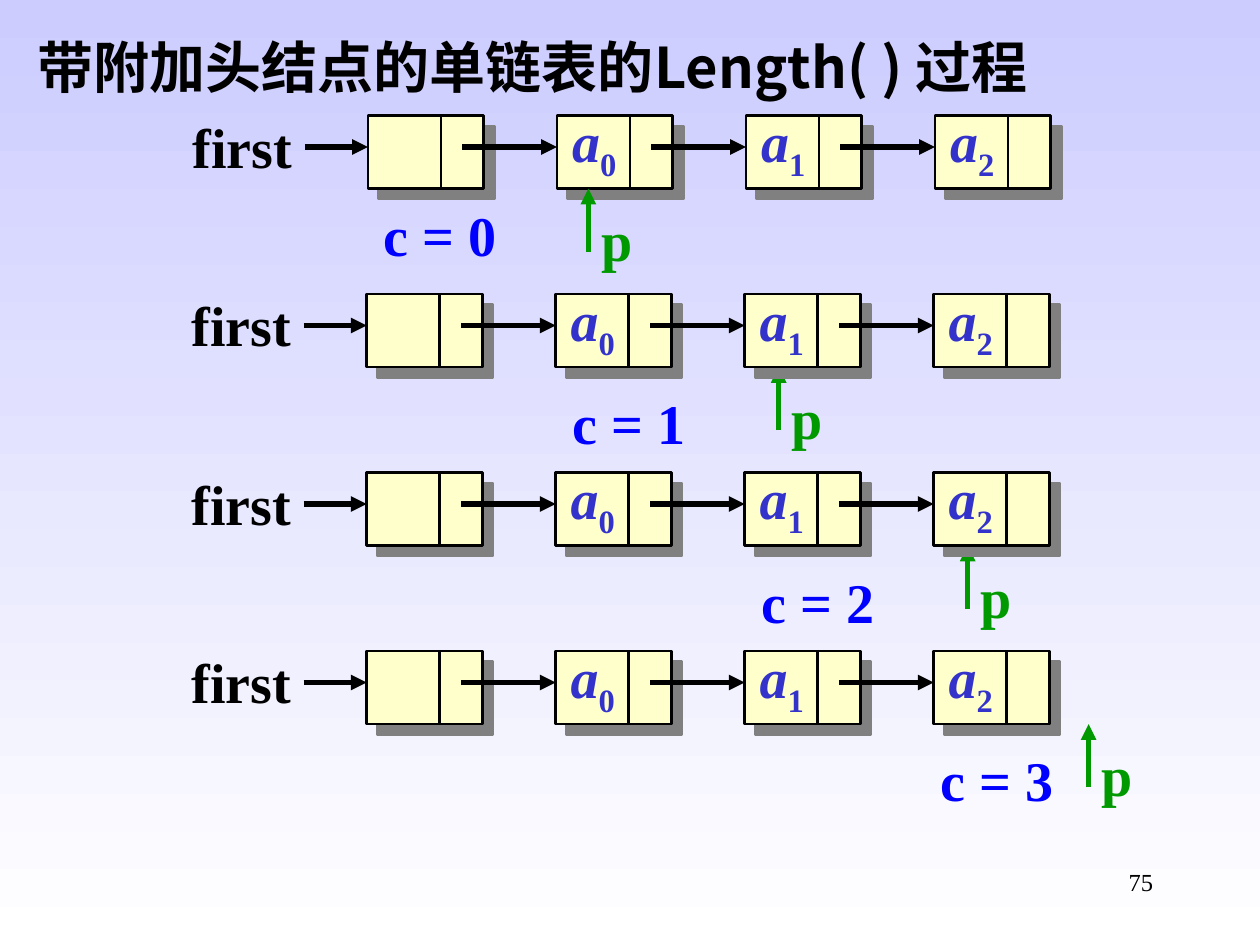
from dataclasses import dataclass

from lxml import etree
from pptx import Presentation
from pptx import util as u
from pptx.dml.color import RGBColor
from pptx.enum import shapes, text
from pptx.oxml import parse_xml
from pptx.oxml.ns import nsdecls, qn

COLORS = {
    "sky": "CCCCFF", "white": "FFFFFF", "node": "FFFFCC", "black": "000000",
    "shadow": "808080", "pointer": "009900", "item": "3333CC", "count": "0000FF",
}
LATIN, CJK = "Times New Roman", "Noto Sans CJK SC"
FIRST_TOP, ROW_PITCH = 11 / 12, 17 / 12
NODE_PITCH, NODE_WIDTH, NODE_HEIGHT = 1.5, 0.92, 0.58
NODE_COUNT = 4
DIVIDER, LINK_START, LINK_DROP = 0.58, 0.75, 0.25
COUNT_WIDTH = 1.19


@dataclass
class Step:
    """One state of the traversal: the list, the pointer p and the counter c."""
    count: int
    left: float
    pointer_x: float
    count_left: float
    count_drop: float

    @property
    def top(self) -> float:
        return FIRST_TOP + self.count * ROW_PITCH


STEPS = [
    Step(0, 2.92, 4.67, 2.9, 0.62),
    Step(1, 2.91, 6.18, 4.4, 0.7),
    Step(2, 2.91, 7.68, 5.9, 0.7),
    Step(3, 2.91, 8.64, 7.32, 0.7),
]


def color(name: str) -> RGBColor:
    return RGBColor.from_string(COLORS[name])


def add_line(parent, start: tuple, end: tuple, name: str = "black",
             width: float = 3, arrow: bool = True) -> None:
    line = parent.shapes.add_connector(
        shapes.MSO_CONNECTOR.STRAIGHT, *map(u.Inches, (*start, *end)))
    line.line.color.rgb = color(name)
    line.line.width = u.Pt(width)
    if arrow:
        etree.SubElement(line.line._get_or_add_ln(), qn("a:tailEnd"), type="triangle")
    etree.SubElement(line._element.spPr, qn("a:effectLst"))


def add_text(parent, words: str, left: float, top: float, width: float,
             height: float, name: str = "black", size: float = 32, bold: bool = True,
             align=text.PP_ALIGN.CENTER, font: str = LATIN, wrap: bool = False):
    """Add a one-line text box and return its paragraph."""
    box = parent.shapes.add_textbox(*map(u.Inches, (left, top, width, height)))
    frame = box.text_frame
    frame.word_wrap = wrap
    if not wrap:
        frame.auto_size = text.MSO_AUTO_SIZE.SHAPE_TO_FIT_TEXT
        frame.vertical_anchor = text.MSO_ANCHOR.MIDDLE
    para = frame.paragraphs[0]
    para.alignment = align
    para.add_run().text = words
    para.font.name = font
    para.font.size = u.Pt(size)
    para.font.bold = bold
    para.font.color.rgb = color(name)
    return para


def add_item(parent, index: int, left: float, top: float) -> None:
    """Add the italic letter a with an upright subscript."""
    para = add_text(parent, "a", left, top, 0.55, 0.71, "item")
    para.runs[0].font.italic = True
    span = para.add_run()
    span.text = str(index)
    span._r.get_or_add_rPr().set("baseline", "-25000")


def add_node(parent, left: float, top: float) -> None:
    node = parent.shapes.add_shape(
        shapes.MSO_SHAPE.RECTANGLE,
        *map(u.Inches, (left, top, NODE_WIDTH, NODE_HEIGHT)))
    node.fill.solid()
    node.fill.fore_color.rgb = color("node")
    node.line.color.rgb = color("black")
    node.line.width = u.Pt(1.5)
    node._element.spPr.append(parse_xml(
        f'<a:effectLst {nsdecls("a")}><a:outerShdw dist="{u.Pt(8.5)}" dir="2700000" '
        f'algn="ctr" rotWithShape="0"><a:srgbClr val="{COLORS["shadow"]}"/>'
        '</a:outerShdw></a:effectLst>'))


def add_list(parent, left: float, top: float) -> None:
    link_y = top + LINK_DROP
    for index in range(NODE_COUNT):
        x = left + index * NODE_PITCH
        add_node(parent, x, top)
        if index < NODE_COUNT - 1:
            add_line(parent, (x + LINK_START, link_y), (x + NODE_PITCH, link_y))
        add_line(parent, (x + DIVIDER, top), (x + DIVIDER, top + NODE_HEIGHT),
                 width=1.5, arrow=False)
    add_line(parent, (left - 0.5, link_y), (left, link_y))
    add_text(parent, "first", left - 1.49, top - 0.08, 0.99, 0.64)
    for index in range(NODE_COUNT - 1):
        add_item(parent, index, left + 0.02 + (index + 1) * NODE_PITCH, top - 0.12)


def add_pointer(page, step: Step) -> None:
    x, tip = step.pointer_x, step.top + NODE_HEIGHT
    add_line(page, (x, tip + 0.5), (x, tip), "pointer")
    add_text(page, "p", x, tip + 0.08, 0.45, 0.64, "pointer")


def add_step(page, step: Step) -> None:
    """Draw a step; only the first pointer lies above its list."""
    if step.count == 0:
        add_list(page, step.left, step.top)
        add_pointer(page, step)
    else:
        add_pointer(page, step)
        add_list(page.shapes.add_group_shape(), step.left, step.top)
    add_text(page, f"c = {step.count}", step.count_left, step.top + step.count_drop,
             COUNT_WIDTH, 0.64, "count")


def main() -> None:
    deck = Presentation()
    deck.slide_width, deck.slide_height = u.Inches(10), u.Inches(7.5)
    page = deck.slides.add_slide(deck.slide_layouts[6])
    fill = page.background.fill
    fill.gradient()
    fill.gradient_angle = 270
    for stop, name in zip(fill.gradient_stops, ("sky", "white")):
        stop.color.rgb = color(name)

    for step in STEPS:
        add_step(page, step)

    title = add_text(page, "带附加头结点的单链表的Length( ) 过程", 0.2, 0.21, 9.8, 0.64,
                     align=text.PP_ALIGN.LEFT, font=CJK, wrap=True)
    etree.SubElement(title.runs[0]._r.get_or_add_rPr(), qn("a:ea"), typeface=CJK)
    add_text(page, "75", 7.17, 6.83, 2.08, 0.5, size=14, bold=False,
             align=text.PP_ALIGN.RIGHT, wrap=True)
    deck.save("out.pptx")


if __name__ == "__main__":
    main()
